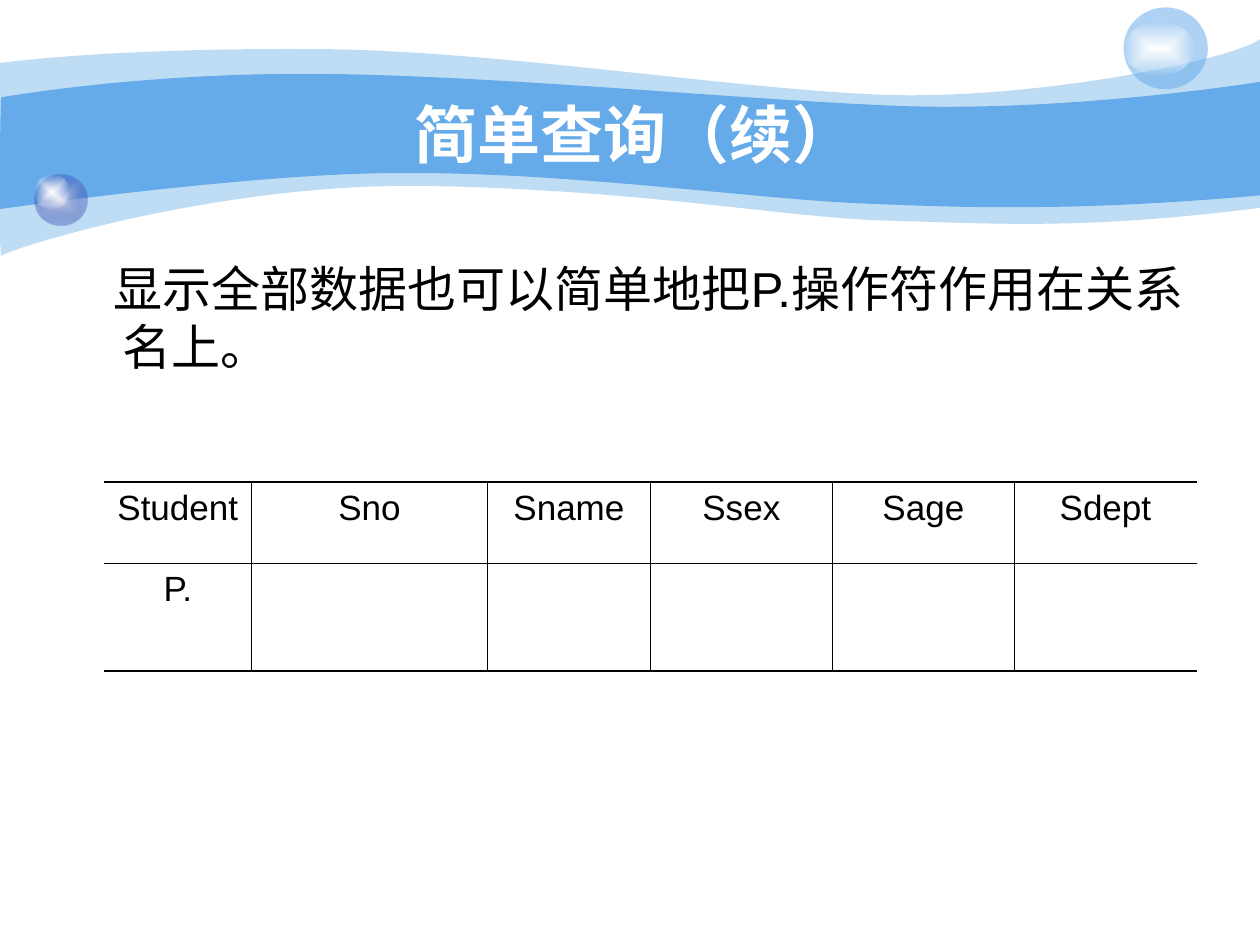
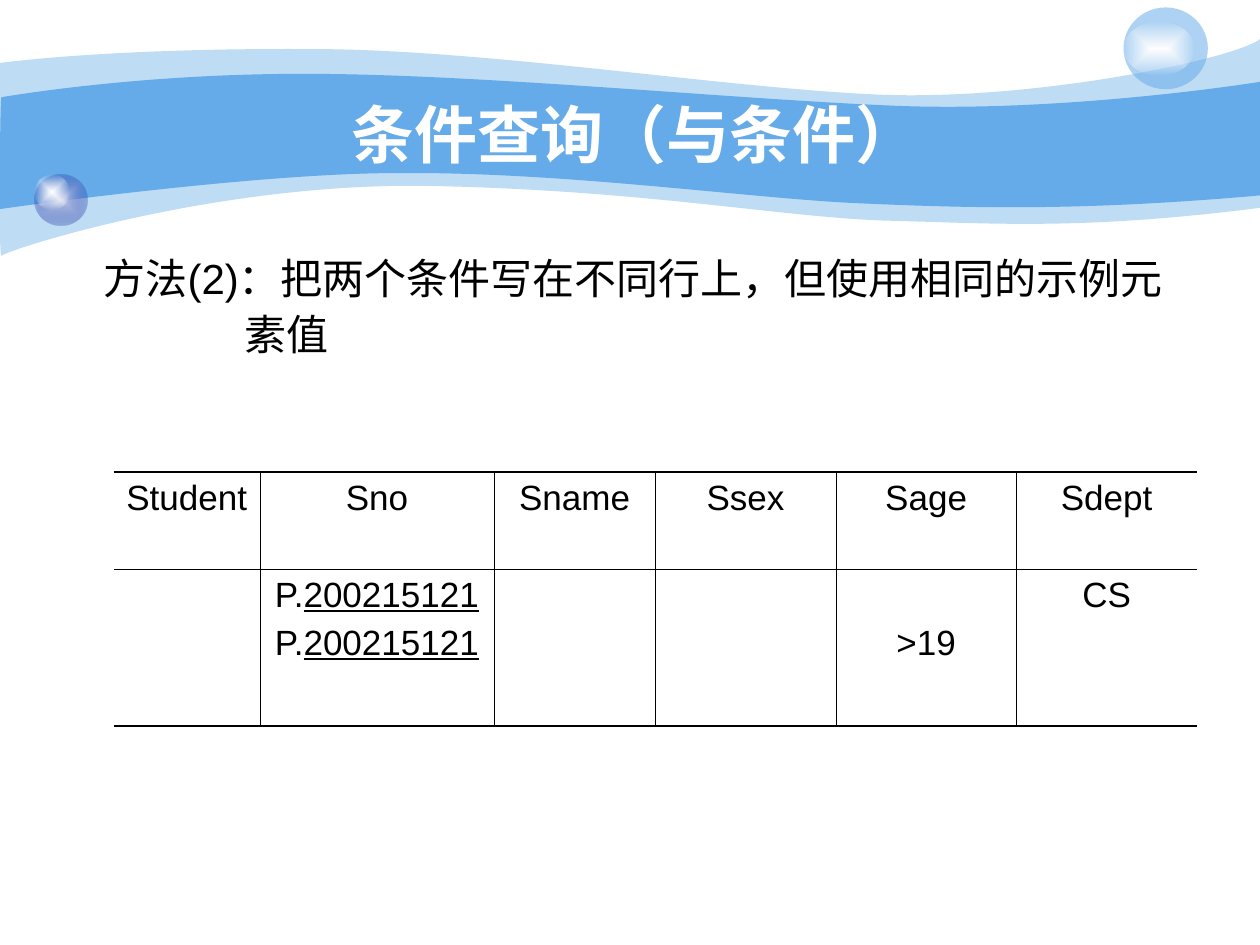
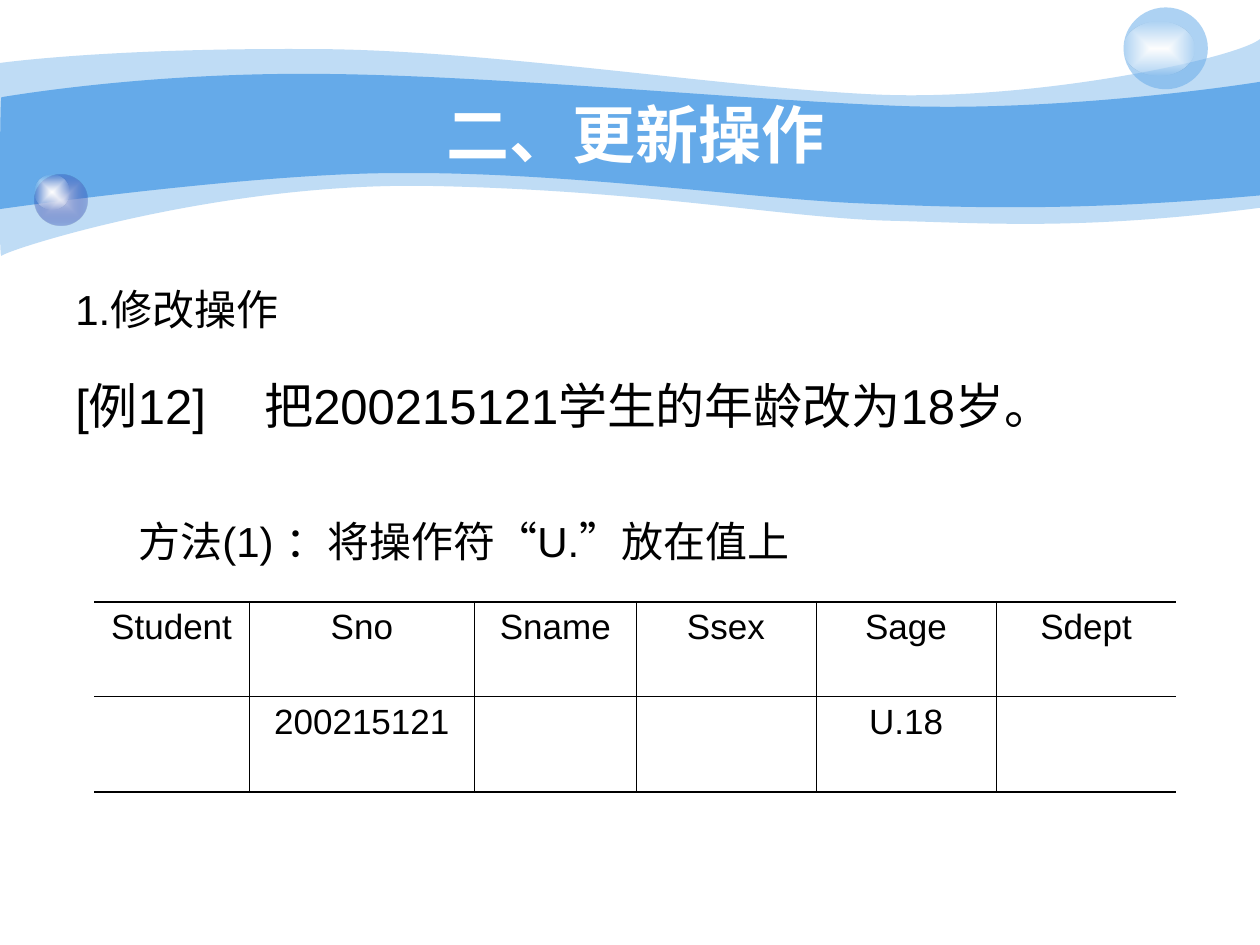
"""Build three slides on query-by-example tables under a shared wave header."""
from dataclasses import dataclass

from lxml import etree
from pptx import Presentation
from pptx.dml.color import RGBColor
from pptx.enum.shapes import MSO_SHAPE
from pptx.enum.text import MSO_ANCHOR, PP_ALIGN
from pptx.oxml import parse_xml
from pptx.oxml.ns import nsdecls, qn
from pptx.util import Cm, Pt

OVAL = MSO_SHAPE.OVAL
MIDDLE = MSO_ANCHOR.MIDDLE
CENTER = PP_ALIGN.CENTER
JUSTIFY = PP_ALIGN.JUSTIFY


@dataclass(frozen=True)
class Theme:
    font: str = "Arial"
    sky: str = "65AAE9"
    mist: str = "C7CEE9"
    navy: str = "233DA9"
    white: str = "FFFFFF"
    black: str = "000000"
    title_size: int = 36
    large_size: int = 28
    body_size: int = 24
    table_size: int = 20
    outer_border: float = 1.08
    inner_border: float = 0.45


@dataclass
class BodyLine:
    text: str
    size: int
    margin: float = 0
    indent: float = 0
    line_spacing: float = 1.0
    space_before: float = 0
    tab: float = 0


THEME = Theme()
HEADER = ["Student", "Sno", "Sname", "Ssex", "Sage", "Sdept"]
SECOND_LINE_TOP = 1.09

WAVES = [
    ((THEME.sky, 41), (0, 1.27), [
        [(0.61, 1.19), (2.72, 0.97), (6.27, 0.99)],
        [(9.8, 0.99), (14.61, 1.78), (17.75, 1.91)],
        [(20.88, 2.03), (24.89, 1.19), (25.4, 0.79)],
        [(25.4, 4.19)],
        [(21.79, 4.65), (19.99, 4.5), (17.91, 4.45)],
        [(15.8, 4.39), (13.08, 3.84), (8.71, 3.75)],
        [(4.37, 3.66), (0.1, 5.05), (0.03, 5.16)],
        [(-0.03, 5.28), (0, 1.91), (0, 1.27)],
    ]),
    ((THEME.sky, 100), (0.03, 1.96), [
        [(0.05, 1.96), (2.79, 1.47), (6.3, 1.49)],
        [(9.8, 1.5), (15.11, 2.03), (18.24, 2.14)],
        [(21.36, 2.24), (24.79, 1.75), (25.4, 1.65)],
        [(25.4, 3.94)],
        [(21.67, 4.27), (19.43, 4.19), (17.32, 4.1)],
        [(15.21, 4.01), (11.35, 3.46), (8.05, 3.49)],
        [(5.16, 3.48), (-0.05, 4.22), (-0.03, 4.22)],
        [(0, 4.22), (0, 1.96), (0.03, 1.96)],
    ]),
]

SHINE = [(THEME.white, 100), (THEME.white, 0)]
BUBBLES = [
    ((0.69, 3.53, 1.08, 1.02), [(THEME.mist, 100), (THEME.navy, 31)]),
    ((0.69, 3.53, 0.71, 0.69), SHINE),
    ((22.65, 0.15, 1.7, 1.65), [(THEME.sky, 53)]),
    ((22.65, 0.43, 1.42, 1.09), SHINE),
]

SLIDES = [
    {
        "title": "简单查询（续）",
        "body_box": (1.27, 5.08, 22.83, 4.04),
        "body": [BodyLine("显示全部数据也可以简单地把P.操作符作用在关系名上。",
                          THEME.large_size, margin=0.95, indent=-0.18)],
        "table_at": (2.1, 9.72),
        "columns": [2.97, 4.76, 3.28] + [3.67] * 3,
        "rows": [1.63, 2.18],
        "values": ["P.", "", "", "", "", ""],
    },
    {
        "title": "条件查询（与条件）",
        "body_box": (1.27, 5.08, 23.24, 4.85),
        "body": [
            BodyLine("方法(2)：把两个条件写在不同行上，但使用相同的示例元",
                     THEME.body_size, margin=0.57, line_spacing=0.9),
            BodyLine("素值", THEME.body_size, margin=3.41, line_spacing=0.9, space_before=6),
        ],
        "table_at": (2.29, 9.52),
        "columns": [2.95, 4.72, 3.25] + [3.64] * 3,
        "rows": [1.96, 3.15],
        "values": ["", "P.|200215121\nP.|200215121", "", "", ">19", "CS"],
        "lowered": ">19",
    },
    {
        "title": "二、更新操作",
        "body_box": (1.27, 5.08, 22.23, 7.65),
        "body": [
            BodyLine("1.修改操作", THEME.body_size, line_spacing=1.5),
            BodyLine("[例12]\t把200215121学生的年龄改为18岁。", THEME.large_size,
                     line_spacing=1.5, space_before=7, tab=3.94),
            BodyLine("方法(1) ：将操作符“U.”放在值上", THEME.body_size,
                     margin=1.27, space_before=46.5),
        ],
        "table_at": (1.9, 12.13),
        "columns": [3.12, 4.55, 3.25] + [3.63] * 3,
        "rows": [1.91, 1.93],
        "values": ["", "200215121", "", "", "U.18", ""],
    },
]


def paint(shape, stops):
    """Fill a shape with one colour, or with a gradient from its centre outwards."""
    shape.shadow.inherit = False
    shape.line.fill.background()
    if len(stops) == 1:
        shape.fill.solid()
        shape.fill.fore_color.rgb = RGBColor.from_string(stops[0][0])
    else:
        shape.fill.gradient()
        for gradient_stop, (color, _) in zip(shape.fill.gradient_stops, stops):
            gradient_stop.color.rgb = RGBColor.from_string(color)
        gradient = shape._element.spPr.find(qn("a:gradFill"))
        gradient.replace(gradient.find(qn("a:lin")), parse_xml(
            f'<a:path {nsdecls("a")} path="rect">'
            '<a:fillToRect l="50000" t="50000" r="50000" b="50000"/></a:path>'))
    for color_element, (_, opacity) in zip(shape._element.spPr.iter(qn("a:srgbClr")), stops):
        if opacity < 100:
            etree.SubElement(color_element, qn("a:alpha"), val=str(opacity * 1000))


def set_font(paragraph, size, color=THEME.black, bold=False):
    """Set the font of a whole paragraph."""
    paragraph.font.name = THEME.font
    paragraph.font.size = Pt(size)
    paragraph.font.bold = bold
    paragraph.font.color.rgb = RGBColor.from_string(color)


presentation = Presentation()
presentation.slide_width = Cm(25.4)
presentation.slide_height = Cm(19.05)

for content in SLIDES:
    slide = presentation.slides.add_slide(presentation.slide_layouts[6])

    for color_stop, start, segments in WAVES:
        builder = slide.shapes.build_freeform(*map(Cm, start))
        builder.add_line_segments(
            [(Cm(x), Cm(y)) for segment in segments for x, y in segment], close=True)
        wave = builder.convert_to_shape()
        lines = iter(list(wave._element.spPr.iter(qn("a:lnTo"))))
        for segment in segments:
            corners = [next(lines) for _ in segment]
            if len(corners) == 3:
                curve = etree.Element(qn("a:cubicBezTo"))
                corners[0].addprevious(curve)
                for corner in corners:
                    curve.append(corner[0])
                    corner.getparent().remove(corner)
        paint(wave, [color_stop])

    for bounds, stops in BUBBLES:
        paint(slide.shapes.add_shape(OVAL, *map(Cm, bounds)), stops)

    title_frame = slide.shapes.add_textbox(Cm(2.54), Cm(1.91), Cm(20.53), Cm(1.57)).text_frame
    title_frame.word_wrap = True
    title_frame.vertical_anchor = MIDDLE
    title = title_frame.paragraphs[0]
    title.text = content["title"]
    title.alignment = CENTER
    set_font(title, THEME.title_size, THEME.white, bold=True)

    body_frame = slide.shapes.add_textbox(*map(Cm, content["body_box"])).text_frame
    body_frame.word_wrap = True
    for index, line in enumerate(content["body"]):
        paragraph = body_frame.add_paragraph() if index else body_frame.paragraphs[0]
        paragraph.text = line.text
        paragraph.alignment = JUSTIFY
        paragraph.line_spacing = line.line_spacing
        paragraph.space_before = Pt(line.space_before)
        properties = paragraph._p.get_or_add_pPr()
        properties.set("marL", str(Cm(line.margin)))
        properties.set("indent", str(Cm(line.indent)))
        if line.tab:
            tabs = etree.SubElement(properties, qn("a:tabLst"))
            etree.SubElement(tabs, qn("a:tab"), pos=str(Cm(line.tab)), algn="l")
        set_font(paragraph, line.size)

    columns, rows = content["columns"], content["rows"]
    table = slide.shapes.add_table(
        len(rows), len(columns), *map(Cm, content["table_at"]),
        Cm(sum(columns)), Cm(sum(rows))).table
    table.first_row = False
    table.horz_banding = False
    for column, width in zip(table.columns, columns):
        column.width = Cm(width)
    for row, height in zip(table.rows, rows):
        row.height = Cm(height)

    for row_index, texts in enumerate([HEADER, content["values"]]):
        for column_index, text in enumerate(texts):
            cell = table.cell(row_index, column_index)
            borders = {
                "a:lnL": THEME.inner_border if column_index > 0 else 0,
                "a:lnR": THEME.inner_border if column_index < len(columns) - 1 else 0,
                "a:lnT": THEME.inner_border if row_index else THEME.outer_border,
                "a:lnB": THEME.outer_border if row_index else THEME.inner_border,
            }
            cell_properties = cell._tc.get_or_add_tcPr()
            for tag, width in borders.items():
                border = etree.SubElement(cell_properties, qn(tag), w=str(Pt(width)))
                if width:
                    fill = etree.SubElement(border, qn("a:solidFill"))
                    etree.SubElement(fill, qn("a:srgbClr"), val=THEME.black)
                else:
                    etree.SubElement(border, qn("a:noFill"))
            cell.fill.background()
            if text and text == content.get("lowered"):
                cell.margin_top = Cm(SECOND_LINE_TOP)
            for index, line in enumerate(text.split("\n")):
                frame = cell.text_frame
                paragraph = frame.add_paragraph() if index else frame.paragraphs[0]
                paragraph.alignment = CENTER
                paragraph.space_before = Pt(5 if index else 0)
                set_font(paragraph, THEME.table_size)
                plain, _, underlined = line.partition("|")
                if plain:
                    paragraph.add_run().text = plain
                if underlined:
                    run = paragraph.add_run()
                    run.text = underlined
                    run.font.underline = True

presentation.save("out.pptx")
